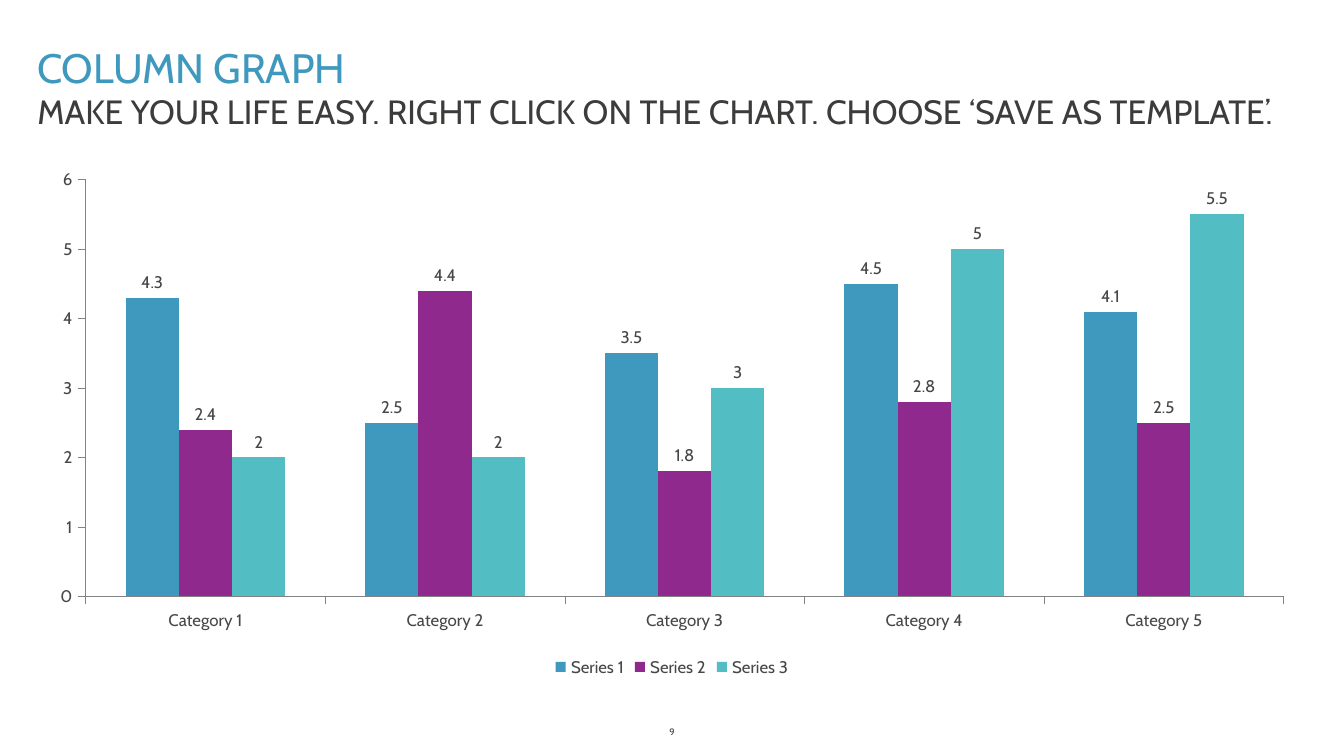
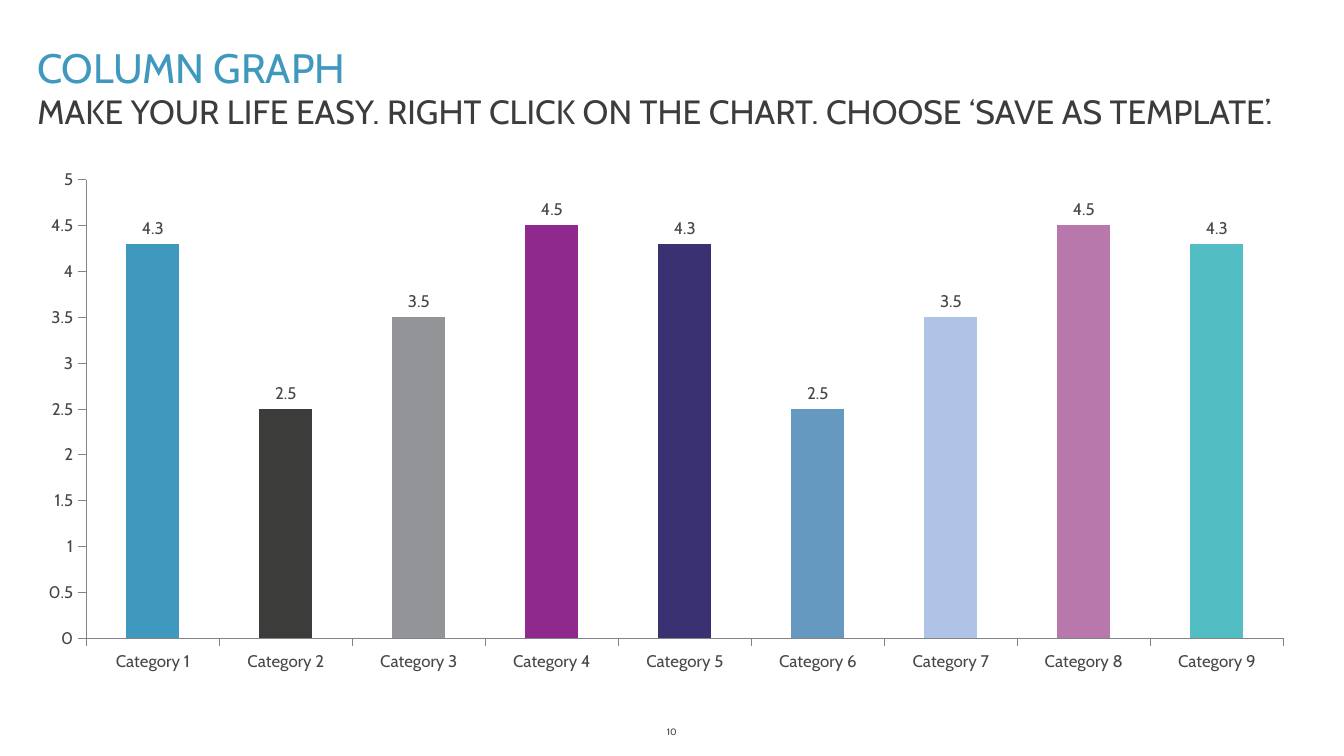
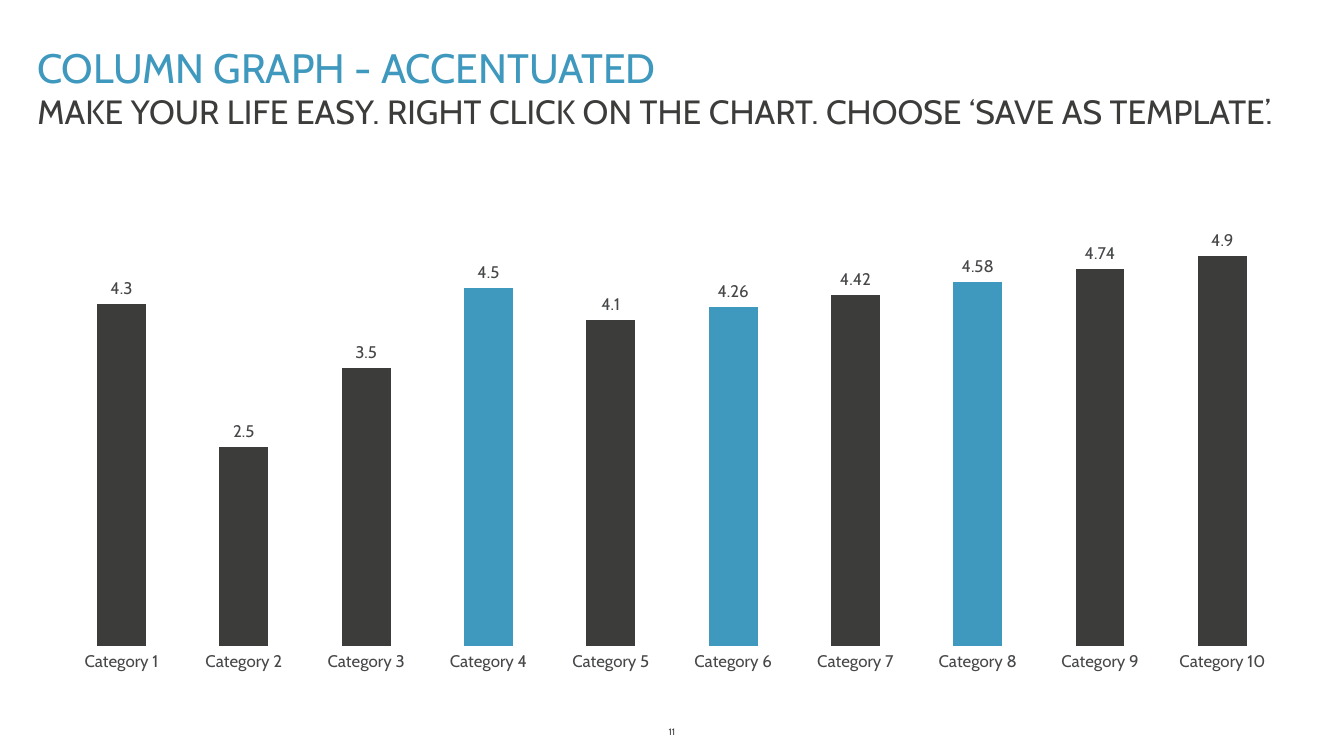
from dataclasses import dataclass, field

from pptx import Presentation
from pptx.chart.chart import Chart
from pptx.chart.data import CategoryChartData
from pptx.dml.color import RGBColor
from pptx.enum.chart import XL_CHART_TYPE, XL_LABEL_POSITION, XL_LEGEND_POSITION, XL_TICK_MARK
from pptx.enum.text import MSO_ANCHOR, PP_ALIGN
from pptx.slide import Slide
from pptx.util import Pt

COLUMN = XL_CHART_TYPE.COLUMN_CLUSTERED
ABOVE = XL_LABEL_POSITION.OUTSIDE_END
BELOW = XL_LEGEND_POSITION.BOTTOM
TICK_OUT, TICK_NONE = XL_TICK_MARK.OUTSIDE, XL_TICK_MARK.NONE
TOP, MIDDLE, BOTTOM = MSO_ANCHOR.TOP, MSO_ANCHOR.MIDDLE, MSO_ANCHOR.BOTTOM
LEFT, CENTER = PP_ALIGN.LEFT, PP_ALIGN.CENTER

BLUE = RGBColor(0x3F, 0x98, 0xBD)
DARK = RGBColor(0x3C, 0x3C, 0x3B)
GREY = RGBColor(0x92, 0x94, 0x97)
PURPLE = RGBColor(0x90, 0x29, 0x8D)
INDIGO = RGBColor(0x39, 0x31, 0x72)
STEEL = RGBColor(0x65, 0x99, 0xBF)
PALE = RGBColor(0xAF, 0xC3, 0xE6)
MAUVE = RGBColor(0xB9, 0x78, 0xAB)
TEAL = RGBColor(0x52, 0xBD, 0xC2)
LABEL = RGBColor(0x46, 0x47, 0x49)
AXIS = RGBColor(0x81, 0x83, 0x86)

FONT = "Cabin"
HINT = "MAKE YOUR LIFE EASY. RIGHT CLICK ON THE CHART. CHOOSE ‘SAVE AS TEMPLATE’."
FIRST_PAGE = 9


@dataclass(frozen=True)
class Style:
    box: tuple[float, float, float, float]
    size: float
    color: RGBColor
    anchor: MSO_ANCHOR
    align: PP_ALIGN = LEFT


@dataclass(frozen=True)
class Series:
    values: list[float]
    color: RGBColor
    points: dict[int, RGBColor] = field(default_factory=dict)


@dataclass(frozen=True)
class Page:
    title: str
    series: list[Series]
    top: float
    step: float
    left: float = 18.72
    width: float = 682.56
    legend: bool = False
    axes: bool = True


TITLE = Style((12.96, 18.72, 689.04, 33.84), 22, BLUE, BOTTOM)
BODY = Style((12.96, 45.36, 689.04, 28.8), 18, DARK, TOP)
NUMBER = Style((326.16, 385.2, 67.68, 13.68), 5, DARK, MIDDLE, CENTER)

RAINBOW = [BLUE, DARK, GREY, PURPLE, INDIGO, STEEL, PALE, MAUVE, TEAL]
PAGES = [
    Page("COLUMN GRAPH", [
        Series([4.3, 2.5, 3.5, 4.5, 4.1], BLUE),
        Series([2.4, 4.4, 1.8, 2.8, 2.5], PURPLE),
        Series([2, 2, 3, 5, 5.5], TEAL),
    ], top=6, step=1, legend=True),
    Page("COLUMN GRAPH", [
        Series([4.3, 2.5, 3.5, 4.5, 4.3, 2.5, 3.5, 4.5, 4.3], PURPLE,
               dict(enumerate(RAINBOW))),
    ], top=5, step=0.5, left=12.24, width=689.04),
    Page("COLUMN GRAPH - ACCENTUATED", [
        Series([4.3, 2.5, 3.5, 4.5, 4.1, 4.26, 4.42, 4.58, 4.74, 4.9], DARK,
               dict.fromkeys((3, 5, 7), BLUE)),
    ], top=6, step=1, axes=False),
]


def apply(target: object, values: dict[str, object]) -> None:
    for name, value in values.items():
        setattr(target, name, value)


def add_text(slide: Slide, text: str, style: Style) -> None:
    frame = slide.shapes.add_textbox(*map(Pt, style.box)).text_frame
    apply(frame, {"word_wrap": True, "vertical_anchor": style.anchor})
    para = frame.paragraphs[0]
    para.alignment = style.align
    run = para.add_run()
    run.text = text
    apply(run.font, {"name": FONT, "size": Pt(style.size)})
    run.font.color.rgb = style.color


def paint(part: object, color: RGBColor) -> None:
    part.format.fill.solid()
    part.format.fill.fore_color.rgb = color


def set_axes(chart: Chart, page: Page) -> None:
    tick = TICK_OUT if page.axes else TICK_NONE
    marks = {"has_major_gridlines": False, "major_tick_mark": tick,
             "minor_tick_mark": TICK_NONE}
    for axis in (chart.category_axis, chart.value_axis):
        apply(axis, marks)
        line = axis.format.line
        if page.axes:
            line.color.rgb = AXIS
            line.width = Pt(0.25)
        else:
            line.fill.background()
    apply(chart.value_axis, {"minimum_scale": 0, "maximum_scale": page.top,
                             "major_unit": page.step, "visible": page.axes})
    apply(chart.value_axis.tick_labels,
          {"number_format": "General", "number_format_is_linked": False})


def add_chart(slide: Slide, page: Page) -> None:
    data = CategoryChartData()
    count = len(page.series[0].values)
    data.categories = [f"Category {i}" for i in range(1, count + 1)]
    for i, item in enumerate(page.series, 1):
        data.add_series(f"Series {i}", item.values)
    box = map(Pt, (page.left, 84.96, page.width, 280.8))
    chart = slide.shapes.add_chart(COLUMN, *box, data).chart
    apply(chart, {"has_title": False, "has_legend": page.legend})
    apply(chart.font, {"name": FONT, "size": Pt(9)})
    chart.font.color.rgb = LABEL
    if page.legend:
        apply(chart.legend, {"position": BELOW, "include_in_layout": False})
    set_axes(chart, page)
    plot = chart.plots[0]
    apply(plot, {"gap_width": 150, "overlap": 0, "vary_by_categories": False,
                 "has_data_labels": True})
    apply(plot.data_labels, {"show_value": True, "position": ABOVE,
                             "number_format": "General",
                             "number_format_is_linked": False})
    for item, bars in zip(page.series, plot.series):
        bars.invert_if_negative = False
        paint(bars, item.color)
        for i, color in item.points.items():
            paint(bars.points[i], color)


def main() -> None:
    deck = Presentation()
    apply(deck, {"slide_width": Pt(720), "slide_height": Pt(405)})
    for number, page in enumerate(PAGES, FIRST_PAGE):
        slide = deck.slides.add_slide(deck.slide_layouts[6])
        add_text(slide, page.title, TITLE)
        add_text(slide, HINT, BODY)
        add_chart(slide, page)
        add_text(slide, str(number), NUMBER)
    deck.save("out.pptx")


if __name__ == "__main__":
    main()
